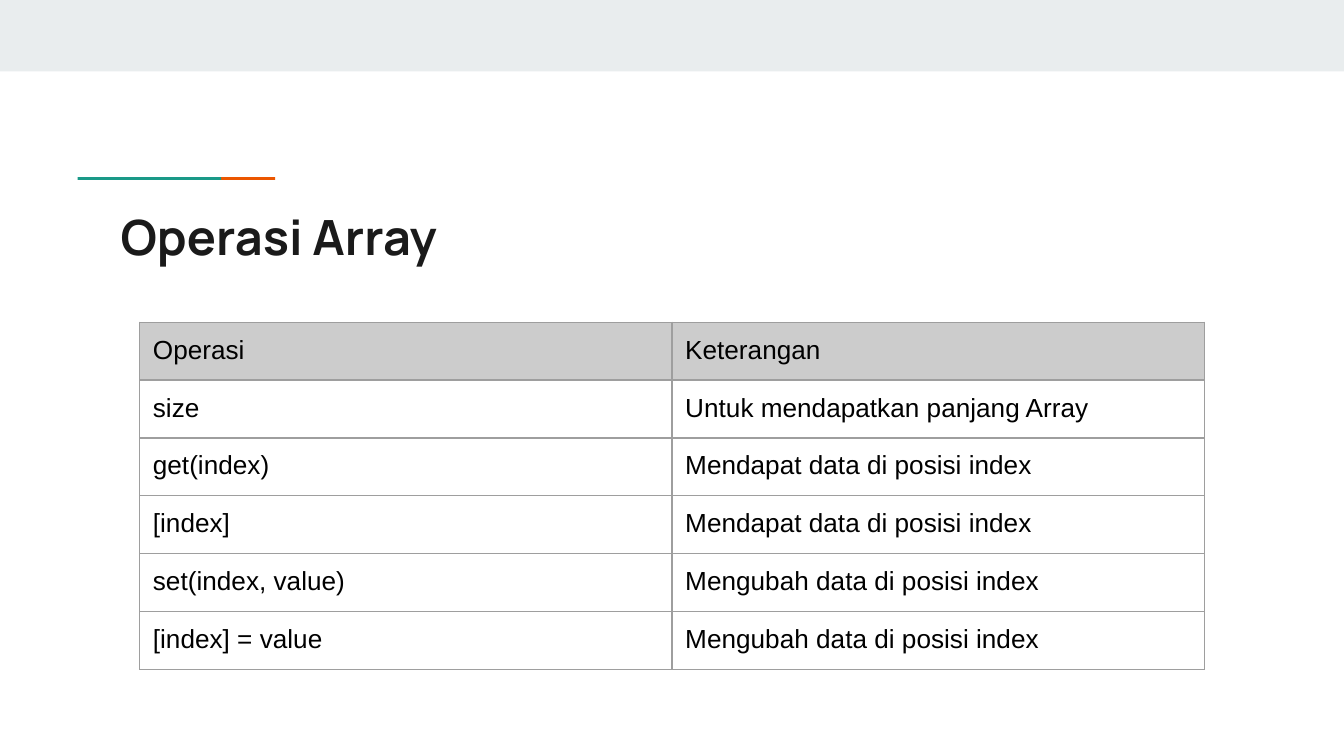
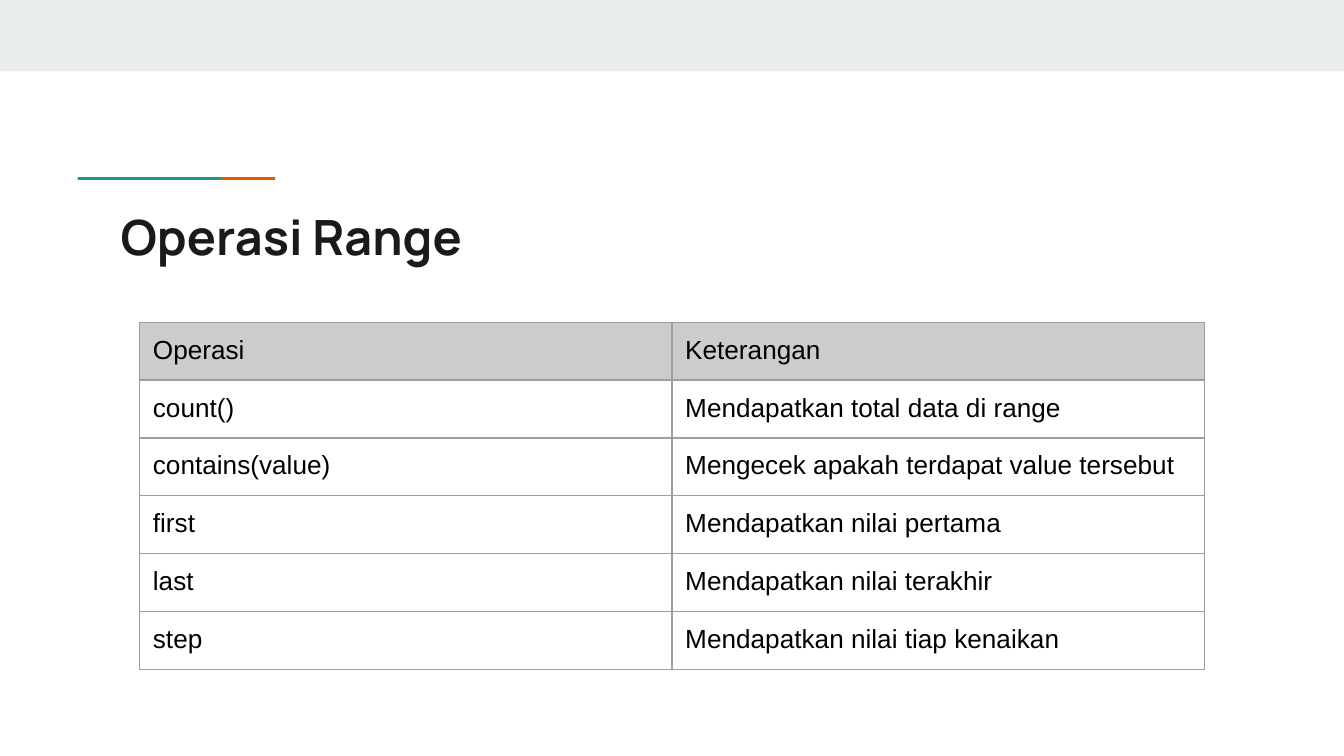
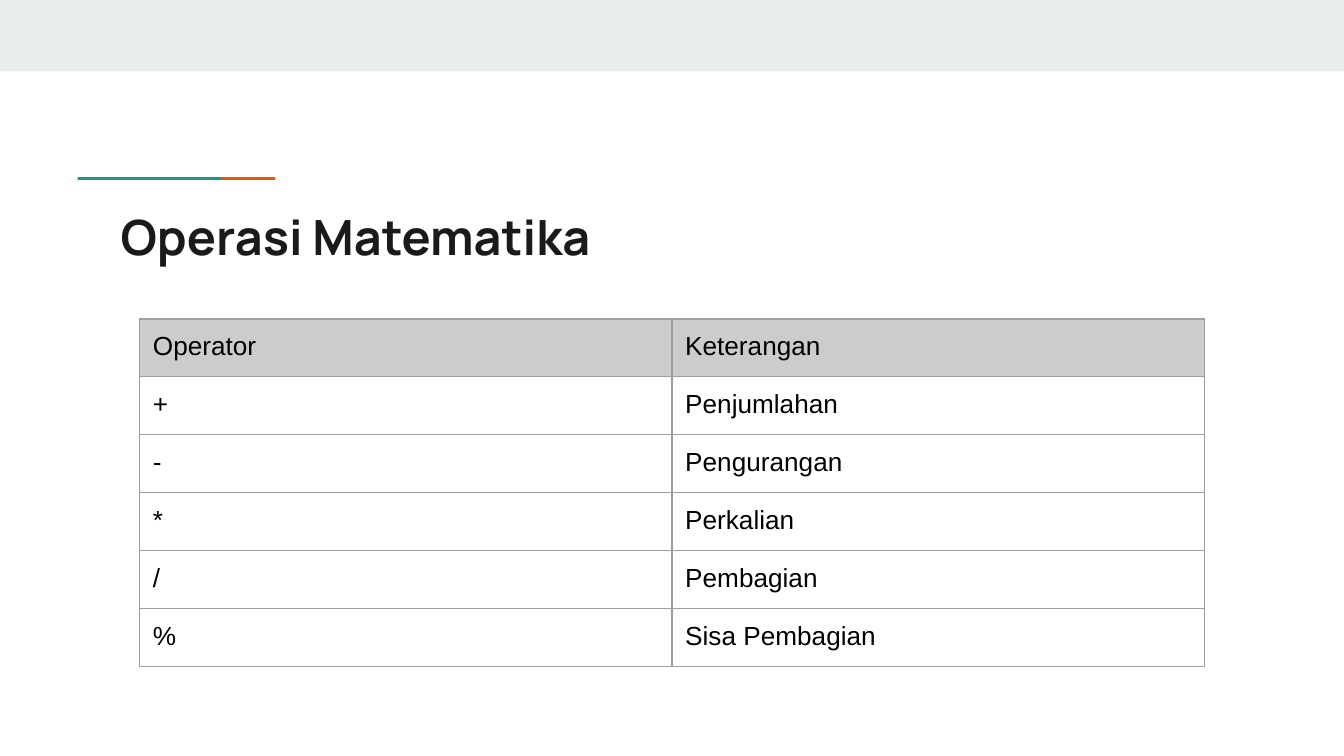
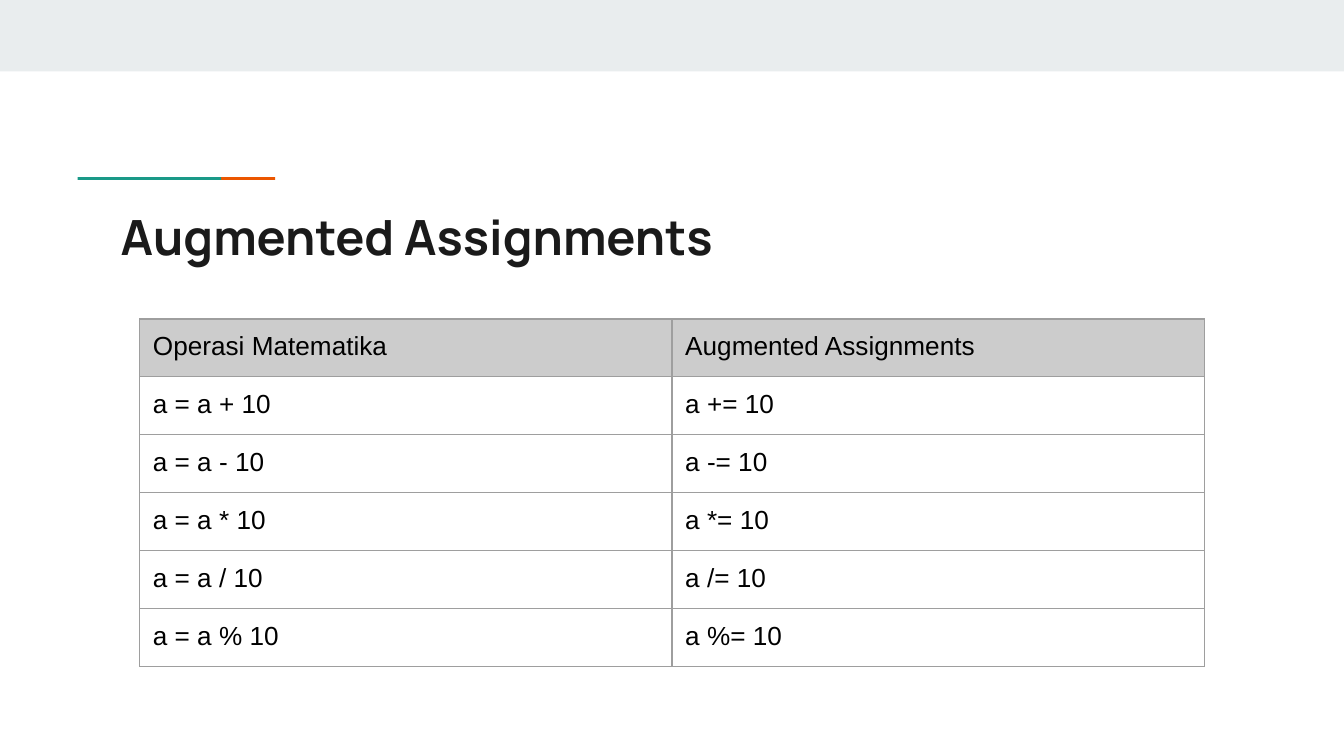
from lxml.etree import SubElement
from pptx import Presentation
from pptx.dml.color import RGBColor as RGB
from pptx.enum.shapes import MSO_SHAPE as SHAPE
from pptx.enum.text import MSO_ANCHOR as ANCHOR
from pptx.oxml.ns import qn
from pptx.util import Cm, Pt

COLORS = {
    "band": "E9EDEE",
    "orange": "EB5600",
    "teal": "1A9988",
    "title": "1A1A1A",
    "text": "000000",
    "header": "CCCCCC",
    "border": "9E9E9E",
}
WIDTH, HEIGHT = 25.4, 14.29
INSET = 0.25

BAND_BOX = (0, 0, WIDTH, 1.35)
ACCENT_BOX = (1.47, 3.35, 3.73, 0.05)
TITLE_BOX = (2.03, 3.66, 21.36, 1.5)
TABLE_LEFT, TABLE_WIDTH, ROW_HEIGHT = 2.64, 20.12, 1.06

SLIDES = [
    ("Operasi Array", 6.09, [
        ("Operasi", "Keterangan"),
        ("size", "Untuk mendapatkan panjang Array"),
        ("get(index)", "Mendapat data di posisi index"),
        ("[index]", "Mendapat data di posisi index"),
        ("set(index, value)", "Mengubah data di posisi index"),
        ("[index] = value", "Mengubah data di posisi index"),
    ]),
    ("Operasi Range", 6.09, [
        ("Operasi", "Keterangan"),
        ("count()", "Mendapatkan total data di range"),
        ("contains(value)", "Mengecek apakah terdapat value tersebut"),
        ("first", "Mendapatkan nilai pertama"),
        ("last", "Mendapatkan nilai terakhir"),
        ("step", "Mendapatkan nilai tiap kenaikan"),
    ]),
    ("Operasi Matematika", 6.03, [
        ("Operator", "Keterangan"),
        ("+", "Penjumlahan"),
        ("-", "Pengurangan"),
        ("*", "Perkalian"),
        ("/", "Pembagian"),
        ("%", "Sisa Pembagian"),
    ]),
    ("Augmented Assignments", 6.03, [
        ("Operasi Matematika", "Augmented Assignments"),
        *((f"a = a {op} 10", f"a {op}= 10") for op in "+-*/%"),
    ]),
]


def color(name):
    """Return the named palette colour."""
    return RGB.from_string(COLORS[name])


def set_font(p, name, size, color_name, bold=False):
    """Set the font of a whole paragraph."""
    p.font.name = name
    p.font.size = Pt(size)
    p.font.bold = bold
    p.font.color.rgb = color(color_name)


def set_insets(frame):
    """Give a text frame or a cell the same inset on each side."""
    frame.margin_left = frame.margin_right = Cm(INSET)
    frame.margin_top = frame.margin_bottom = Cm(INSET)


def add_bar(s, box, color_name):
    """Add a plain filled rectangle."""
    sp = s.shapes.add_shape(SHAPE.RECTANGLE, *map(Cm, box))
    sp.shadow.inherit = False
    sp.fill.solid()
    sp.fill.fore_color.rgb = color(color_name)
    sp.line.fill.background()


def add_accent(s, box):
    """Add two overlapping bars that together span the box."""
    x, y, w, h = box
    bar_width = 2.71
    add_bar(s, (x + w - bar_width, y, bar_width, h), "orange")
    add_bar(s, (x, y, bar_width, h), "teal")


def add_title(s, box, text):
    """Add the slide title."""
    tf = s.shapes.add_textbox(*map(Cm, box)).text_frame
    tf.word_wrap = True
    tf.vertical_anchor = ANCHOR.TOP
    set_insets(tf)
    p = tf.paragraphs[0]
    p.text = text
    set_font(p, "Manrope", 26, "title", bold=True)


def add_borders(cell):
    """Draw a thin line on all four sides of a cell."""
    props = cell._tc.get_or_add_tcPr()
    for side in ("lnL", "lnR", "lnT", "lnB"):
        line = SubElement(props, qn(f"a:{side}"), w=str(Pt(0.75)))
        fill = SubElement(line, qn("a:solidFill"))
        SubElement(fill, qn("a:srgbClr"), val=COLORS["border"])


def fill_cell(cell, text, is_header):
    """Write and style one table cell."""
    set_insets(cell)
    add_borders(cell)
    if is_header:
        cell.fill.solid()
        cell.fill.fore_color.rgb = color("header")
    else:
        cell.fill.background()
    p = cell.text_frame.paragraphs[0]
    p.text = text
    set_font(p, "Arial", 14, "text")


def add_grid(s, box, rows):
    """Add a table with a header row and equal columns and rows."""
    frame = s.shapes.add_table(len(rows), len(rows[0]), *map(Cm, box))
    table = frame.table
    table.horz_banding = False
    for i, row in enumerate(rows):
        for j, text in enumerate(row):
            fill_cell(table.cell(i, j), text, i == 0)


def add_table_slide(prs, title, table_top, rows):
    """Add a slide with band, accent, title and table."""
    s = prs.slides.add_slide(prs.slide_layouts[6])
    add_bar(s, BAND_BOX, "band")
    add_accent(s, ACCENT_BOX)
    add_title(s, TITLE_BOX, title)
    table_box = (TABLE_LEFT, table_top, TABLE_WIDTH, ROW_HEIGHT * len(rows))
    add_grid(s, table_box, rows)


def main():
    """Build and save the presentation."""
    prs = Presentation()
    prs.slide_width, prs.slide_height = Cm(WIDTH), Cm(HEIGHT)
    for title, table_top, rows in SLIDES:
        add_table_slide(prs, title, table_top, rows)
    prs.save("out.pptx")


if __name__ == "__main__":
    main()
